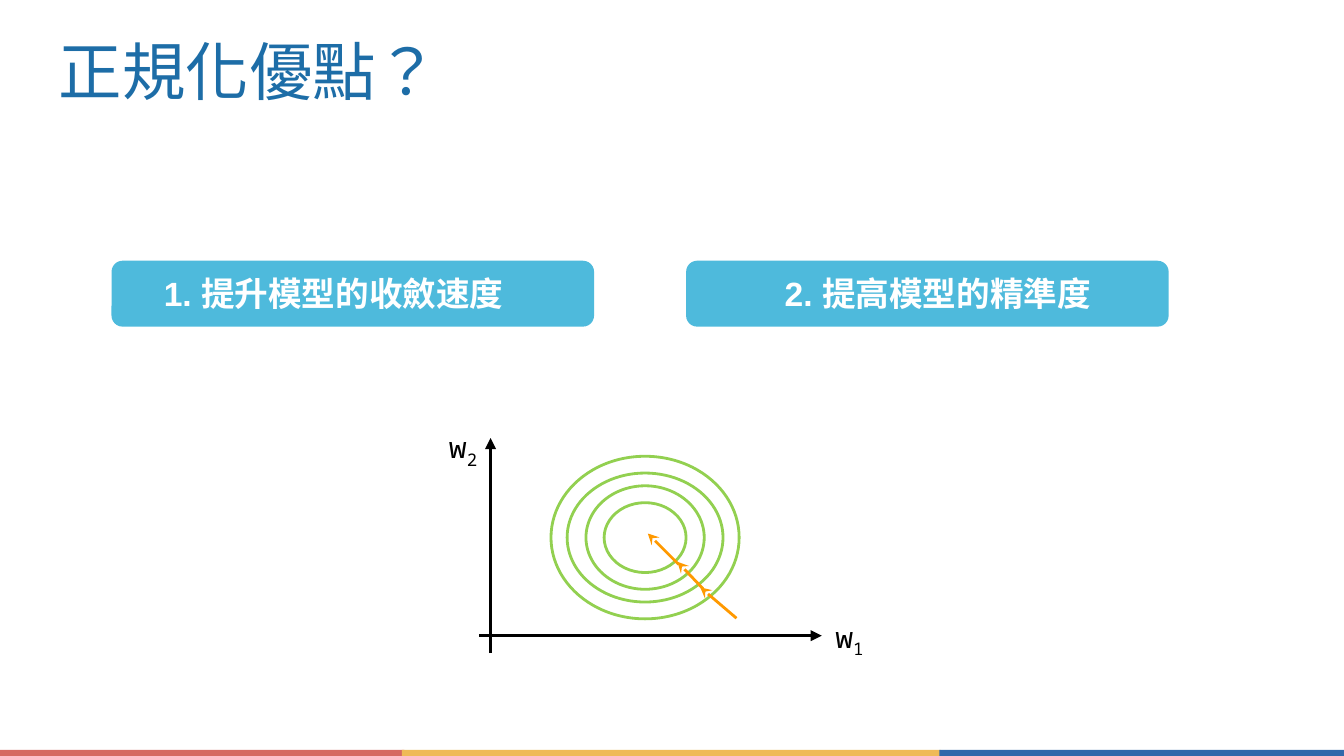
from lxml import etree
from pptx import Presentation
from pptx.dml.color import RGBColor
from pptx.enum.shapes import MSO_CONNECTOR, MSO_SHAPE
from pptx.enum.text import MSO_ANCHOR, PP_ALIGN
from pptx.oxml.ns import qn
from pptx.util import Emu, Pt

SCALE = 4572
RECT, ROUND, OVAL = MSO_SHAPE.RECTANGLE, MSO_SHAPE.ROUNDED_RECTANGLE, MSO_SHAPE.OVAL
STRAIGHT = MSO_CONNECTOR.STRAIGHT
TOP, MIDDLE = MSO_ANCHOR.TOP, MSO_ANCHOR.MIDDLE
LEFT, CENTER = PP_ALIGN.LEFT, PP_ALIGN.CENTER
BLACK = RGBColor(0, 0, 0)
WHITE = RGBColor(255, 255, 255)
TITLE_BLUE = RGBColor(0x1D, 0x6D, 0xA7)
CYAN = RGBColor(0x4E, 0xBA, 0xDC)
GREEN = RGBColor(0x92, 0xD0, 0x50)
ORANGE = RGBColor(0xFF, 0x99, 0x00)
RED = RGBColor(0xD6, 0x69, 0x62)
YELLOW = RGBColor(0xEF, 0xBA, 0x57)
BLUE = RGBColor(0x30, 0x68, 0xAA)


def px(n):
    """Turn px, 200 to the inch, into EMU."""
    return Emu(n * SCALE)


def add_text(s, box, text, font, size, color, bold=False, anchor=TOP, align=LEFT, inset=10):
    """Add a one-paragraph text box and return its paragraph."""
    tf = s.shapes.add_textbox(*map(px, box)).text_frame
    tf.word_wrap = True
    tf.vertical_anchor = anchor
    tf.margin_left = tf.margin_right = px(20)
    tf.margin_top = tf.margin_bottom = px(inset)
    p = tf.paragraphs[0]
    p.text = text
    p.alignment = align
    for r in p.runs:
        r.font.name, r.font.size, r.font.bold = font, Pt(size), bold
        r.font.color.rgb = color
    return p


def add_shape(s, kind, box, fill=None, line=None):
    """Add a flat shape with a fill or an outline."""
    sp = s.shapes.add_shape(kind, *map(px, box))
    sp.shadow.inherit = False
    if fill is None:
        sp.fill.background()
    else:
        sp.fill.solid()
        sp.fill.fore_color.rgb = fill
    if line is None:
        sp.line.fill.background()
    else:
        sp.line.color.rgb = line
        sp.line.width = Pt(1.5)


def add_arrow(s, x, y, points, color, head):
    """Add an arrow between two points relative to x, y."""
    x1, y1, x2, y2 = points
    sp = s.shapes.add_connector(STRAIGHT, px(x + x1), px(y + y1), px(x + x2), px(y + y2))
    sp.line.color.rgb = color
    sp.line.width = Pt(1.5)
    etree.SubElement(sp.line._get_or_add_ln(), qn("a:tailEnd"), type=head)
    etree.SubElement(sp._element.spPr, qn("a:effectLst"))


def add_footer(s, x, y, h):
    """Draw the three-colour strip."""
    for left, w, color in ((0, 602, RED), (598, 802, YELLOW), (1398, 602, BLUE)):
        add_shape(s, RECT, (x + left, y, w, h), fill=color)


def add_title(s, x, y, w, h):
    """Write the title in Traditional Chinese."""
    p = add_text(s, (x, y, w, h), "正規化優點？", "Calibri", 34, TITLE_BLUE, anchor=MIDDLE, inset=20)
    p.runs[0]._r.get_or_add_rPr().set("lang", "zh-TW")


def add_benefit(s, x, y, w, h, text, text_left, text_w):
    """Draw a rounded bar with its bold text."""
    add_shape(s, ROUND, (x, y, w, h), fill=CYAN)
    add_text(s, (x + text_left, y + 8, text_w, 80), text, "Arial", 18, WHITE, bold=True)


def add_axis_label(s, x, y, index):
    """Write w with a subscript index."""
    p = add_text(s, (x, y, 82, 54), "w", "Noto Sans Mono", 16, BLACK, anchor=MIDDLE, align=CENTER)
    r = p.add_run()
    r.text = index
    r.font.name, r.font.size = "Noto Sans Mono", Pt(16)
    r.font.color.rgb = BLACK
    r._r.get_or_add_rPr().set("baseline", "-25000")


def add_descent_plot(s, x, y):
    """Draw the axes, the contours and the descent steps."""
    add_arrow(s, x, y, (65, 304, 575, 304), BLACK, "triangle")
    add_axis_label(s, x + 575, y + 282, "1")
    add_axis_label(s, x, y, "2")
    for w, h in ((280, 242), (232, 192), (176, 154), (122, 104)):
        add_shape(s, OVAL, (x + 312 - w // 2, y + 158 - h // 2, w, h), line=GREEN)
    for step in ((448, 278, 394, 232), (398, 234, 360, 194), (362, 198, 316, 152)):
        add_arrow(s, x, y, step, ORANGE, "stealth")
    add_arrow(s, x, y, (82, 330, 82, 10), BLACK, "triangle")


def main():
    """Build the slide and save it."""
    prs = Presentation()
    prs.slide_width, prs.slide_height = px(2000), px(1125)
    s = prs.slides.add_slide(prs.slide_layouts[6])
    add_footer(s, 0, 1116, 9)
    add_title(s, 68, 40, 1864, 128)
    add_benefit(s, 166, 388, 718, 98, "1. 提升模型的收斂速度", 58, 604)
    add_benefit(s, 1021, 388, 718, 98, "2. 提高模型的精準度", 127, 560)
    add_descent_plot(s, 648, 642)
    prs.save("out.pptx")


if __name__ == "__main__":
    main()
